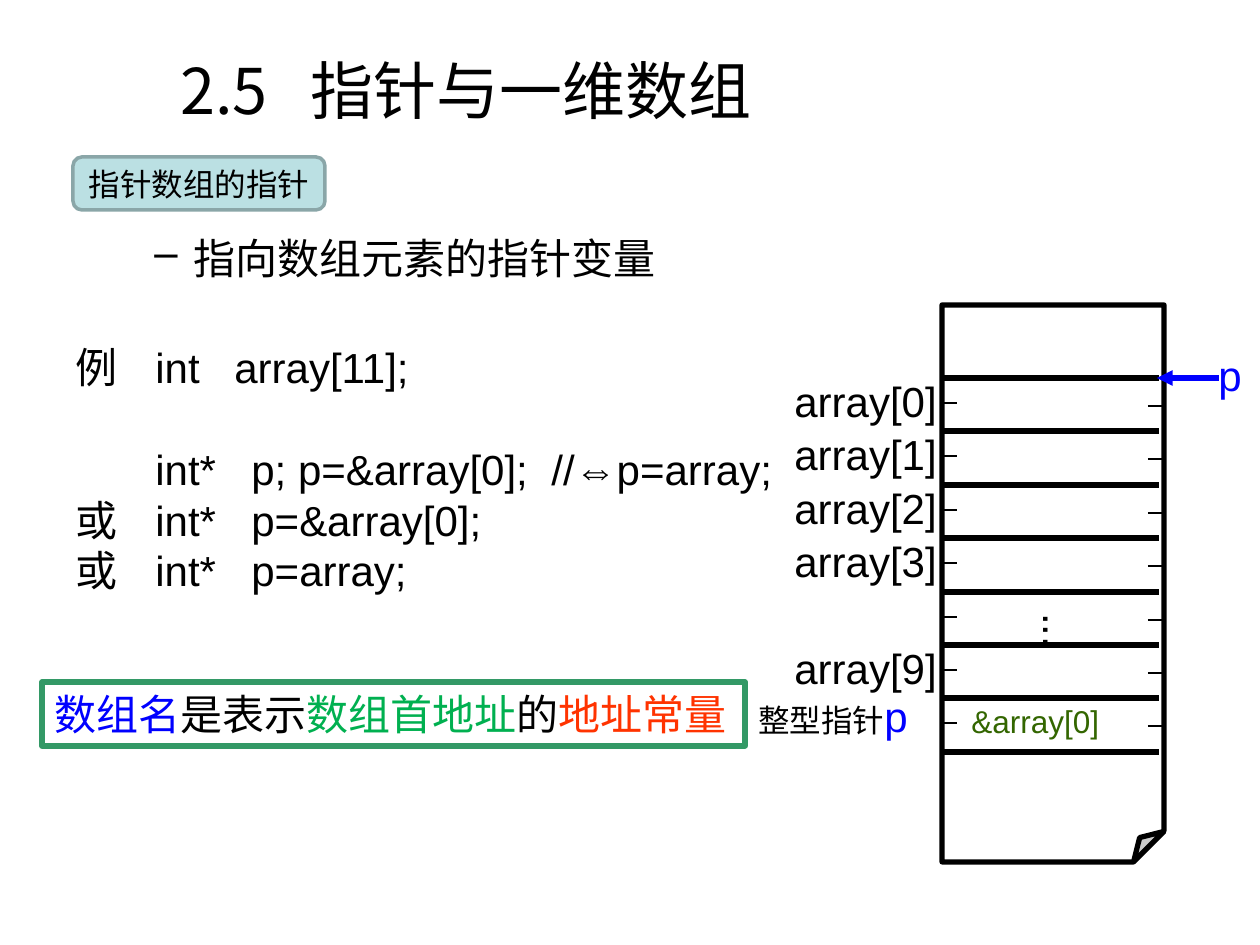
import pptx
import pptx.dml.color
import pptx.enum.shapes
import pptx.enum.text
import pptx.oxml.ns
import pptx.util
import lxml.etree

SCALE = 914400 / 126
THEME = {
    "latin": "Arial", "cjk": "Noto Sans CJK SC",
    "title": 36, "body": 24, "small": 18,
    "black": "000000", "white": "FFFFFF", "blue": "0000FF", "green": "00B050",
    "red": "FF3300", "olive": "336600", "frame": "339966",
    "badge": "BBE0E3", "badge_line": "8AA6A8",
}
SHAPES = pptx.enum.shapes.MSO_SHAPE
ANCHOR = pptx.enum.text.MSO_ANCHOR
qn = pptx.oxml.ns.qn
SubElement = lxml.etree.SubElement


def px(value):
    return pptx.util.Emu(round(value * SCALE))


def write(paragraph, runs, font="latin"):
    for text, size, color in runs:
        run = paragraph.add_run()
        run.text = text
        formats = {"name": THEME[font], "size": pptx.util.Pt(THEME[size])}
        for name, value in formats.items():
            setattr(run.font, name, value)
        run.font.color.rgb = pptx.dml.color.RGBColor.from_string(THEME[color])
        latin = run.font._element.find(qn("a:latin"))
        east_asian = lxml.etree.Element(qn("a:ea"), typeface=THEME[font])
        latin.addnext(east_asian)


presentation = pptx.Presentation()
presentation.slide_width = px(1260)
presentation.slide_height = px(945)
slide = presentation.slides.add_slide(presentation.slide_layouts[6])

title = slide.shapes.add_textbox(px(168), px(31), px(1029), px(116))
title.text_frame.word_wrap = True
title.text_frame.vertical_anchor = ANCHOR.MIDDLE
paragraph = title.text_frame.paragraphs[0]
tabs = SubElement(paragraph._p.get_or_add_pPr(), qn("a:tabLst"))
SubElement(tabs, qn("a:tab"), pos=str(px(130)), algn="l")
write(paragraph, [("2.5\t指针与一维数组", "title", "black")], "cjk")

bullet = slide.shapes.add_textbox(px(79), px(226), px(1176), px(92))
bullet.text_frame.word_wrap = True
paragraph = bullet.text_frame.paragraphs[0]
properties = paragraph._p.get_or_add_pPr()
for name, value in {"marL": px(102), "indent": px(-39)}.items():
    properties.set(name, str(value))
SubElement(properties, qn("a:buChar"), char="–")
write(paragraph, [("指向数组元素的指针变量", "body", "black")])

code = slide.shapes.add_textbox(px(63), px(336), px(735), px(265))
code.text_frame.word_wrap = True
code.text_frame.vertical_anchor = ANCHOR.MIDDLE
code_lines = [
    ("例\tint\tarray[11];", (80, 159), 0),
    ("\tint*\tp; p=&array[0];\t//⇔p=array;", (80, 176, 476), 29),
    ("或\tint*\tp=&array[0];", (80, 176), 0),
    ("或\tint*\tp=array;", (80, 176), 0),
]
for index, (text, stops, space) in enumerate(code_lines):
    paragraph = code.text_frame.add_paragraph() if index else code.text_frame.paragraphs[0]
    tabs = SubElement(paragraph._p.get_or_add_pPr(), qn("a:tabLst"))
    for stop in stops:
        SubElement(tabs, qn("a:tab"), pos=str(px(stop)), algn="l")
    paragraph.line_spacing = pptx.util.Pt(29)
    if space:
        paragraph.space_before = pptx.util.Pt(space)
    write(paragraph, [(text, "body", "black")])

conclusion = [
    ("数组名", "body", "blue"), ("是表示", "body", "black"),
    ("数组首地址", "body", "green"), ("的", "body", "black"),
    ("地址常量", "body", "red"),
]
badge = [("指针数组的指针", "small", "black")]
panels = [
    (SHAPES.FOLDED_CORNER, (942, 305, 222, 557), "white", "black", 3, []),
    (SHAPES.RECTANGLE, (42, 682, 703, 64), "white", "frame", 3, conclusion),
    (SHAPES.ROUNDED_RECTANGLE, (73, 157, 252, 53), "badge", "badge_line", 2, badge),
]
for kind, box, fill, line, width, runs in panels:
    shape = slide.shapes.add_shape(kind, *map(px, box))
    shape.shadow.inherit = False
    shape.fill.solid()
    shape.fill.fore_color.rgb = pptx.dml.color.RGBColor.from_string(THEME[fill])
    shape.line.color.rgb = pptx.dml.color.RGBColor.from_string(THEME[line])
    shape.line.width = pptx.util.Pt(width)
    if kind == SHAPES.FOLDED_CORNER:
        guides = next(shape._element.iter(qn("a:avLst")))
        SubElement(guides, qn("a:gd"), name="adj", fmla="val 13700")
    if runs:
        shape.text_frame.word_wrap = False
        shape.text_frame.vertical_anchor = ANCHOR.MIDDLE
        paragraph = shape.text_frame.paragraphs[0]
        centred = kind == SHAPES.ROUNDED_RECTANGLE
        alignment = pptx.enum.text.PP_ALIGN
        paragraph.alignment = alignment.CENTER if centred else alignment.LEFT
        write(paragraph, runs)

row_offsets = [round(row * 53.4) for row in range(8)]
segments = [(942, 378 + offset, 1159, 378 + offset, "black", 3) for offset in row_offsets]
for offset in row_offsets[:7]:
    segments.append((942, 403 + offset, 957, 403 + offset, "black", 0.75))
    segments.append((1148, 406 + offset, 1162, 406 + offset, "black", 0.75))
segments.append((1080, 538, 1087, 538, "black", 0.75))
segments.append((1219, 378, 1157, 378, "blue", 3))
for left, top, right, bottom, color, width in segments:
    connector = slide.shapes.add_connector(
        pptx.enum.shapes.MSO_CONNECTOR.STRAIGHT, px(left), px(top), px(right), px(bottom))
    connector.line.color.rgb = pptx.dml.color.RGBColor.from_string(THEME[color])
    connector.line.width = pptx.util.Pt(width)
    if color == "blue":
        SubElement(connector.line._get_or_add_ln(), qn("a:tailEnd"), type="triangle")
    SubElement(connector._element.spPr, qn("a:effectLst"))

labels = [
    ((782, 367 + row_offsets[row], 174, 68), [(f"array[{number}]", "body", "black")])
    for row, number in enumerate((0, 1, 2, 3, None, 9)) if number is not None
]
labels += [
    ((1019, 601, 82, 48), [("...", "body", "black")]),
    ((746, 682, 202, 68), [("整型指针", "small", "black"), ("p", "body", "blue")]),
    ((959, 692, 178, 58), [("&array[0]", "small", "olive")]),
    ((1206, 341, 49, 68), [("p", "body", "blue")]),
]
for box, runs in labels:
    label = slide.shapes.add_textbox(*map(px, box))
    label.text_frame.word_wrap = False
    label.text_frame.vertical_anchor = ANCHOR.MIDDLE
    if runs[0][0] == "...":
        label.text_frame._txBody.bodyPr.set("vert", "eaVert")
    write(label.text_frame.paragraphs[0], runs)

presentation.save("out.pptx")
